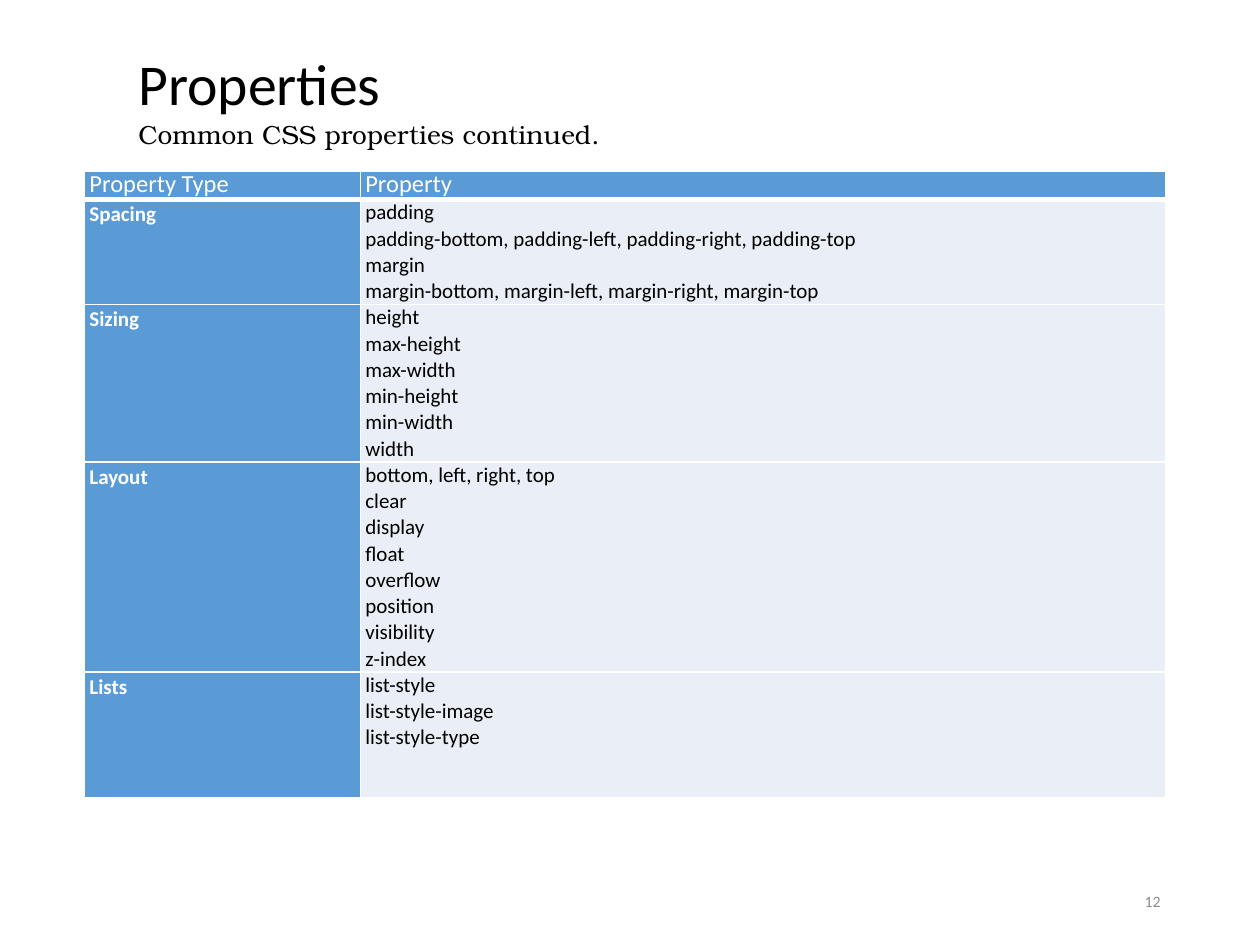
from pptx import Presentation
from pptx.dml.color import RGBColor
from pptx.enum.text import MSO_ANCHOR, PP_ALIGN
from pptx.oxml.ns import qn
from pptx.util import Inches, Pt
from lxml import etree

MIDDLE, TOP = MSO_ANCHOR.MIDDLE, MSO_ANCHOR.TOP
LEFT, RIGHT = PP_ALIGN.LEFT, PP_ALIGN.RIGHT

BLACK = RGBColor(0x00, 0x00, 0x00)
WHITE = RGBColor(0xFF, 0xFF, 0xFF)
GRAY = RGBColor(0x8C, 0x8C, 0x8C)
BLUE = RGBColor(0x5B, 0x9B, 0xD5)
PALE_BLUE = RGBColor(0xEA, 0xEF, 0xF7)

SANS = "Calibri"
SERIF = "TeX Gyre Bonum"

LABEL_LEADING = Pt(16)
PROPERTY_LEADING = Pt(15)
MIN_LAST_ROW = Inches(1)

HEADINGS = ("Property Type", "Property")
PROPERTIES = {
    "Spacing": [
        "padding",
        "padding-bottom, padding-left, padding-right, padding-top",
        "margin",
        "margin-bottom, margin-left, margin-right, margin-top",
    ],
    "Sizing": ["height", "max-height", "max-width", "min-height", "min-width", "width"],
    "Layout": ["bottom, left, right, top", "clear", "display", "float", "overflow",
               "position", "visibility", "z-index"],
    "Lists": ["list-style", "list-style-image", "list-style-type"],
}


def format_text(frame, size, color, font=SANS, bold=False, leading=None, align=LEFT):
    for paragraph in frame.paragraphs:
        paragraph.alignment = align
        if leading is not None:
            paragraph.line_spacing = leading
        for run in paragraph.runs:
            run.font.name = font
            run.font.size = Pt(size)
            run.font.bold = bold
            run.font.color.rgb = color


def add_text(slide, text, left, top, width, height, anchor, **style):
    box = slide.shapes.add_textbox(Inches(left), Inches(top), Inches(width), Inches(height))
    frame = box.text_frame
    frame.word_wrap = True
    frame.vertical_anchor = anchor
    frame.text = text
    format_text(frame, **style)


def set_borders(cell, top=1, bottom=1):
    """Draw white cell edges; top and bottom are widths in points."""
    properties = cell._tc.get_or_add_tcPr()
    for edge, width in (("L", 1), ("R", 1), ("T", top), ("B", bottom)):
        line = etree.SubElement(properties, qn(f"a:ln{edge}"), w=str(Pt(width)))
        fill = etree.SubElement(line, qn("a:solidFill"))
        etree.SubElement(fill, qn("a:srgbClr"), val=str(WHITE))


def fill_cell(cell, lines, fill, top=1, bottom=1, **style):
    cell.margin_left = cell.margin_right = Inches(0.04)
    cell.margin_top = cell.margin_bottom = 0
    set_borders(cell, top, bottom)
    cell.fill.solid()
    cell.fill.fore_color.rgb = fill
    cell.text_frame.text = "\n".join(lines)
    format_text(cell.text_frame, **style)


def add_property_table(slide):
    table = slide.shapes.add_table(
        len(PROPERTIES) + 1, len(HEADINGS),
        Inches(0.67), Inches(1.36), Inches(8.58), Inches(4.97)).table
    table.columns[0].width = Inches(2.19)
    table.columns[1].width = Inches(6.39)

    table.rows[0].height = LABEL_LEADING
    for column, heading in enumerate(HEADINGS):
        fill_cell(table.cell(0, column), [heading], BLUE, bottom=3,
                  size=14, color=WHITE, leading=LABEL_LEADING)

    for row, (kind, names) in enumerate(PROPERTIES.items(), start=1):
        table.rows[row].height = PROPERTY_LEADING * len(names)
        top = 3 if row == 1 else 1
        fill_cell(table.cell(row, 0), [kind], BLUE, top=top,
                  size=12, color=WHITE, bold=True, leading=LABEL_LEADING)
        fill_cell(table.cell(row, 1), names, PALE_BLUE, top=top,
                  size=12, color=BLACK, leading=PROPERTY_LEADING)
    table.rows[len(PROPERTIES)].height = MIN_LAST_ROW


def main():
    prs = Presentation()
    prs.slide_width, prs.slide_height = Inches(10), Inches(7.5)
    slide = prs.slides.add_slide(prs.slide_layouts[6])

    add_text(slide, "Properties", 1, 0.13, 8.5, 1.12, MIDDLE,
             size=33, color=BLACK, leading=0.9)
    add_property_table(slide)
    add_text(slide, "12", 7.06, 6.95, 2.25, 0.4, MIDDLE,
             size=9, color=GRAY, align=RIGHT)
    add_text(slide, "Common CSS properties continued.", 1, 0.92, 7, 0.33, TOP,
             size=15, color=BLACK, font=SERIF, leading=0.9)

    prs.save("out.pptx")


if __name__ == "__main__":
    main()
